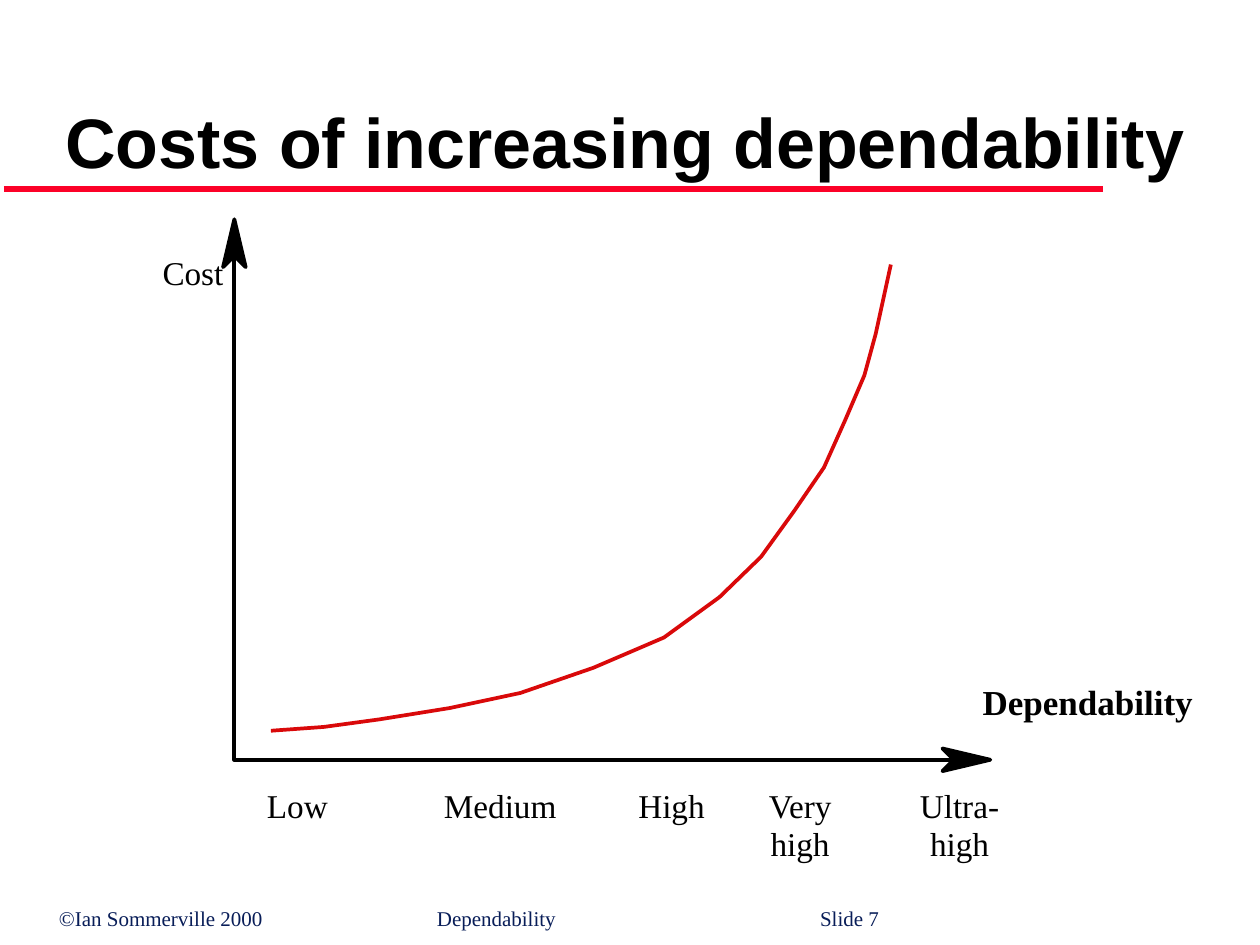
import pptx
import pptx.dml.color
import pptx.enum.shapes
import pptx.enum.text
import pptx.oxml
import pptx.util
from pptx.util import Inches

ALIGN = pptx.enum.text.PP_ALIGN
AUTO_SIZE = pptx.enum.text.MSO_AUTO_SIZE
DRAWING_NS = 'xmlns:a="http://schemas.openxmlformats.org/drawingml/2006/main"'
SERIF = "Times New Roman"
BLACK, RED, CURVE_RED, NAVY = "000000", "FC0128", "D9090A", "081D58"

TITLE = "Costs of increasing dependability"
FOOTER = "©Ian Sommerville 2000\tDependability\tSlide 7"
FOOTER_TABS = [3, 6.04]
LEVELS = [
    (2.07, 0.58, ["Low"]),
    (3.47, 1, ["Medium"]),
    (5.01, 0.64, ["High"]),
    (6.04, 0.62, ["Very", "high"]),
    (7.24, 0.75, ["Ultra-", "high"]),
]
COST_CURVE = [
    (2.15, 5.8), (2.57, 5.77), (3.01, 5.71), (3.57, 5.62), (4.13, 5.5),
    (4.71, 5.3), (5.27, 5.06), (5.71, 4.74), (6.04, 4.42), (6.3, 4.06),
    (6.54, 3.71), (6.71, 3.33), (6.86, 2.98), (6.95, 2.65), (7.07, 2.1),
]
ORIGIN_X, ORIGIN_Y = 1.86, 6.03
COST_TIP, DEPENDABILITY_TIP = 1.74, 7.86
HEAD_LENGTH, HEAD_NOTCH, HEAD_HALF = 0.38, 0.29, 0.09


def rgb(hex_code):
    return pptx.dml.color.RGBColor.from_string(hex_code)


def style(frame, size, font_name, color, bold=False, align=ALIGN.LEFT):
    for paragraph in frame.paragraphs:
        paragraph.alignment = align
        for run in paragraph.runs:
            run.font.size = pptx.util.Pt(size)
            run.font.name = font_name
            run.font.bold = bold
            run.font.color.rgb = rgb(color)


def add_text(slide, box, lines, size, color, bold=False, align=ALIGN.LEFT, inset=True):
    frame = slide.shapes.add_textbox(*map(Inches, box)).text_frame
    frame.text = "\n".join(lines)
    frame.word_wrap = True
    if not inset:
        frame.margin_left = frame.margin_right = 0
        frame.margin_top = frame.margin_bottom = 0
    style(frame, size, SERIF, color, bold, align)
    return frame


def add_path(slide, points, color, closed=False):
    corners = [(Inches(x), Inches(y)) for x, y in points]
    builder = slide.shapes.build_freeform(*corners[0])
    builder.add_line_segments(corners[1:], close=closed)
    path = builder.convert_to_shape()
    path.shadow.inherit = False
    path.line.color.rgb = rgb(color)
    path.line.width = pptx.util.Pt(2.13)
    if closed:
        path.fill.solid()
        path.fill.fore_color.rgb = rgb(color)
    else:
        path.fill.background()


def arrowhead(tip_x, tip_y, back_x, back_y):
    def point(back, side):
        return (tip_x + back * back_x + side * back_y, tip_y + back * back_y + side * back_x)

    return [point(HEAD_NOTCH, 0), point(HEAD_LENGTH, -HEAD_HALF), (tip_x, tip_y),
            point(HEAD_LENGTH, HEAD_HALF)]


deck = pptx.Presentation()
deck.slide_width, deck.slide_height = Inches(10), Inches(7.5)
slide = deck.slides.add_slide(deck.slide_layouts[5])

rule = slide.shapes.add_connector(
    pptx.enum.shapes.MSO_CONNECTOR.STRAIGHT,
    Inches(0.03), Inches(1.5), Inches(8.75), Inches(1.5))
rule.line.color.rgb = rgb(RED)
rule.line.width = pptx.util.Pt(4)
rule._element.spPr.append(pptx.oxml.parse_xml(f"<a:effectLst {DRAWING_NS}/>"))

title = slide.shapes.title
title.left, title.top, title.width, title.height = map(Inches, (0.42, 0.29, 9.08, 1.21))
title.text_frame.text = TITLE
title.text_frame.vertical_anchor = pptx.enum.text.MSO_ANCHOR.BOTTOM
title.text_frame.auto_size = AUTO_SIZE.NONE
title.text_frame.margin_right = 0
style(title.text_frame, 40, "Arial", BLACK, bold=True)

footer = add_text(slide, (0.37, 7.14, 7.36, 0.3), [FOOTER], 12, NAVY)
tab_stops = "".join(f'<a:tab pos="{Inches(stop)}" algn="l"/>' for stop in FOOTER_TABS)
footer.paragraphs[0]._p.get_or_add_pPr().append(
    pptx.oxml.parse_xml(f"<a:tabLst {DRAWING_NS}>{tab_stops}</a:tabLst>"))

add_path(slide, arrowhead(ORIGIN_X, COST_TIP, 0, 1), BLACK, closed=True)
add_path(slide, [(ORIGIN_X, COST_TIP + 0.15), (ORIGIN_X, ORIGIN_Y),
                 (DEPENDABILITY_TIP - 0.14, ORIGIN_Y)], BLACK)
add_path(slide, arrowhead(DEPENDABILITY_TIP, ORIGIN_Y, -1, 0), BLACK, closed=True)

add_text(slide, (1.29, 2, 0.56, 0.32), ["Cost"], 19, BLACK, inset=False)
for left, width, words in LEVELS:
    level = add_text(slide, (left, 6.23, width, 0.03 + 0.29 * len(words)), words, 19, BLACK,
                     align=ALIGN.CENTER, inset=False)
    for paragraph in level.paragraphs[1:]:
        paragraph.line_spacing = pptx.util.Pt(22)

add_path(slide, COST_CURVE, CURVE_RED)
add_text(slide, (7.7, 5.35, 1.87, 0.43), ["Dependability"], 20, BLACK, bold=True)

deck.save("out.pptx")
